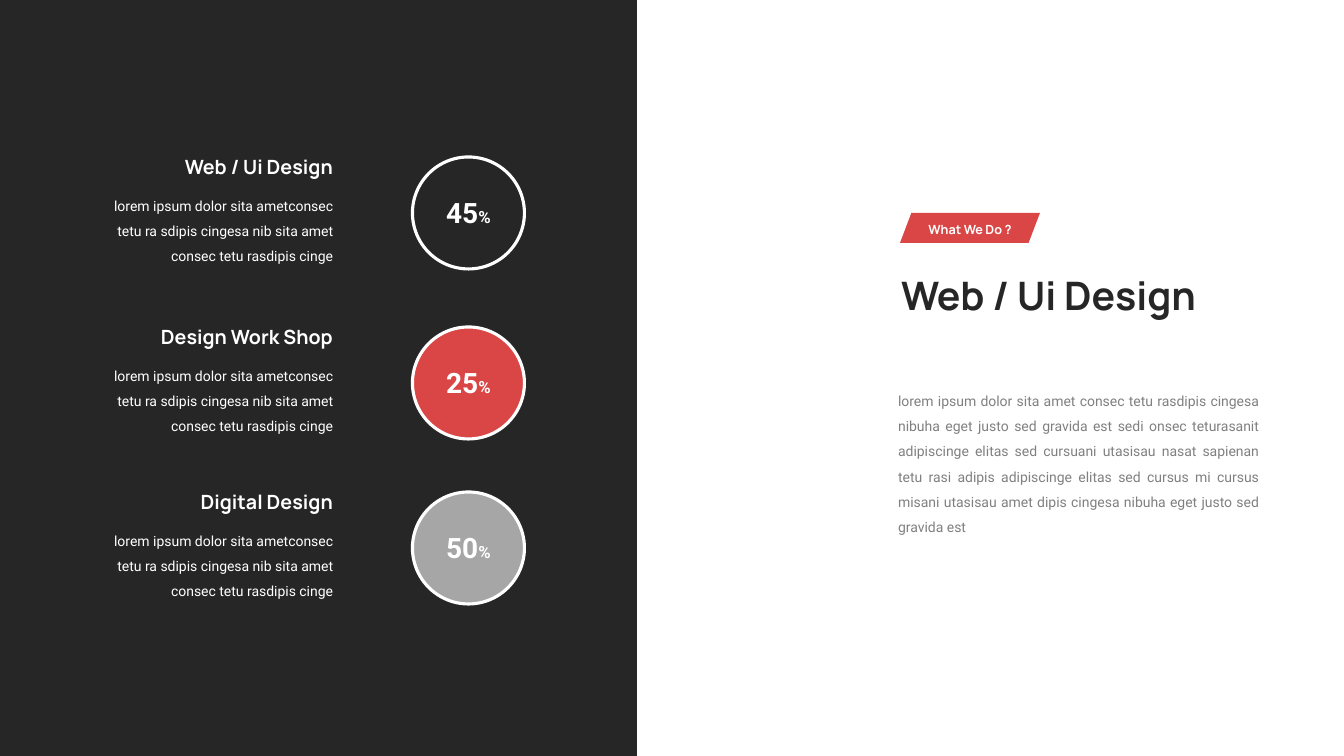
"""Build a slide of three design services beside a short introduction."""
import pptx
import pptx.util
import pptx.dml.color
import pptx.enum.shapes
import pptx.enum.text
import pptx.oxml.ns
import lxml.etree

BLURB = ("lorem ipsum dolor sita ametconsec tetu ra sdipis cingesa nib sita "
         "amet consec tetu rasdipis cinge")
SKILLS = [
    ("Web / Ui Design", "45", "dark", 213),
    ("Design Work Shop", "25", "red", 383),
    ("Digital Design", "50", "gray", 548),
]
TAG = "What We Do ?"
TITLE = "Web / Ui Design"
INTRO = ("lorem ipsum dolor sita amet consec tetu rasdipis cingesa nibuha eget "
         "justo sed gravida est sedi onsec teturasanit adipiscinge elitas sed "
         "cursuani utasisau nasat sapienan tetu rasi adipis adipiscinge elitas "
         "sed cursus mi cursus misani utasisau amet dipis cingesa nibuha eget "
         "justo sed gravida est")

THEME = {
    "dark": "262626", "red": "DA4646", "gray": "A6A6A6",
    "white": "FFFFFF", "soft": "808080",
    "head": ("Manrope", 28, True), "name": ("Manrope", 14, True),
    "tag": ("Manrope", 9, True), "text": ("Roboto", 10, False),
    "rate": ("Roboto", 20, True), "sign": 12, "line": 2.25,
}
WIDE, HIGH = 1344, 756
SCALE = 914400 / 100.8
DISC = 112
MID = 468
EDGE = 343

KIND = pptx.enum.shapes.MSO_SHAPE
ALIGN = pptx.enum.text.PP_ALIGN


def emu(*sizes):
    return [round(size * SCALE) for size in sizes]


def color(name):
    return pptx.dml.color.RGBColor.from_string(THEME[name])


def style(shape, text, look, tint, align, space=1.0):
    frame = shape.text_frame
    frame.word_wrap = True
    frame.auto_size = pptx.enum.text.MSO_AUTO_SIZE.NONE
    frame.vertical_anchor = pptx.enum.text.MSO_ANCHOR.TOP
    para = frame.paragraphs[0]
    para.add_run().text = text
    para.alignment = align
    para.line_spacing = space
    para.space_before = pptx.util.Pt(0)
    face, size, bold = THEME[look]
    para.font.name, para.font.bold = face, bold
    para.font.size = pptx.util.Pt(size)
    para.font.color.rgb = color(tint)
    return para


def label(home, box, *args):
    return style(home.add_textbox(*emu(*box)), *args)


def block(home, kind, box, fill, line=None):
    shape = home.add_shape(kind, *emu(*box))
    shape.shadow.inherit = False
    shape.fill.solid()
    shape.fill.fore_color.rgb = color(fill)
    if line:
        shape.line.color.rgb = color(line)
        shape.line.width = pptx.util.Pt(THEME["line"])
    else:
        shape.line.fill.background()
    return shape


def place(shape, box):
    shape.left, shape.top, shape.width, shape.height = emu(*box)
    return shape


deck = pptx.Presentation()
deck.slide_width, deck.slide_height = emu(WIDE, HIGH)
slide = deck.slides.add_slide(deck.slide_layouts[1])
parts = slide.shapes

block(parts, KIND.RECTANGLE, (0, 0, 637, HIGH), "dark")
for name, rate, fill, mid in SKILLS:
    label(parts, (EDGE - 227, mid - 63, 227, 34),
          name, "name", "white", ALIGN.RIGHT)
    label(parts, (EDGE - 260, mid - 29, 260, 87),
          BLURB, "text", "white", ALIGN.RIGHT, 1.5)
    block(parts, KIND.OVAL, (MID + 0.5 - DISC / 2, mid - DISC / 2, DISC, DISC),
          fill, "white")
    para = label(parts, (MID - 42, mid - 22, 85, 44),
                 rate, "rate", "white", ALIGN.CENTER)
    sign = para.add_run()
    sign.text = "%"
    sign.font.size = pptx.util.Pt(THEME["sign"])

badge = parts.add_group_shape().shapes
block(badge, KIND.PARALLELOGRAM, (900, 213, 140, 30), "red").adjustments[0] = 0.38
label(badge, (912, 217, 116, 25), TAG, "tag", "white", ALIGN.CENTER)

style(place(parts.title, (891, 266, 359, 57)),
      TITLE, "head", "dark", ALIGN.LEFT)
para = style(place(slide.placeholders[1], (888, 379, 381, 163)),
             INTRO, "text", "soft", ALIGN.JUSTIFY, 1.5)
props = para._p.get_or_add_pPr()
props.set("marL", "0")
props.set("indent", "0")
bullet = lxml.etree.Element(pptx.oxml.ns.qn("a:buNone"))
props.find(pptx.oxml.ns.qn("a:defRPr")).addprevious(bullet)

deck.save("out.pptx")
